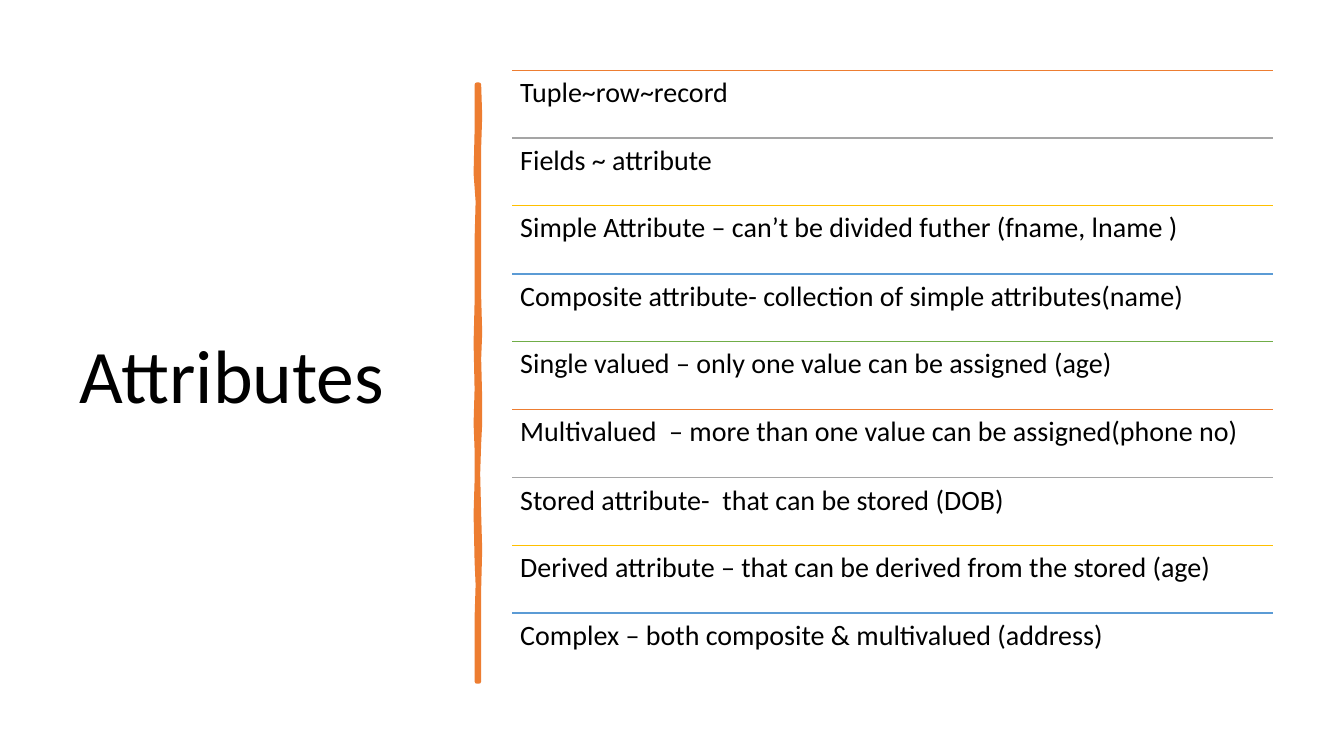
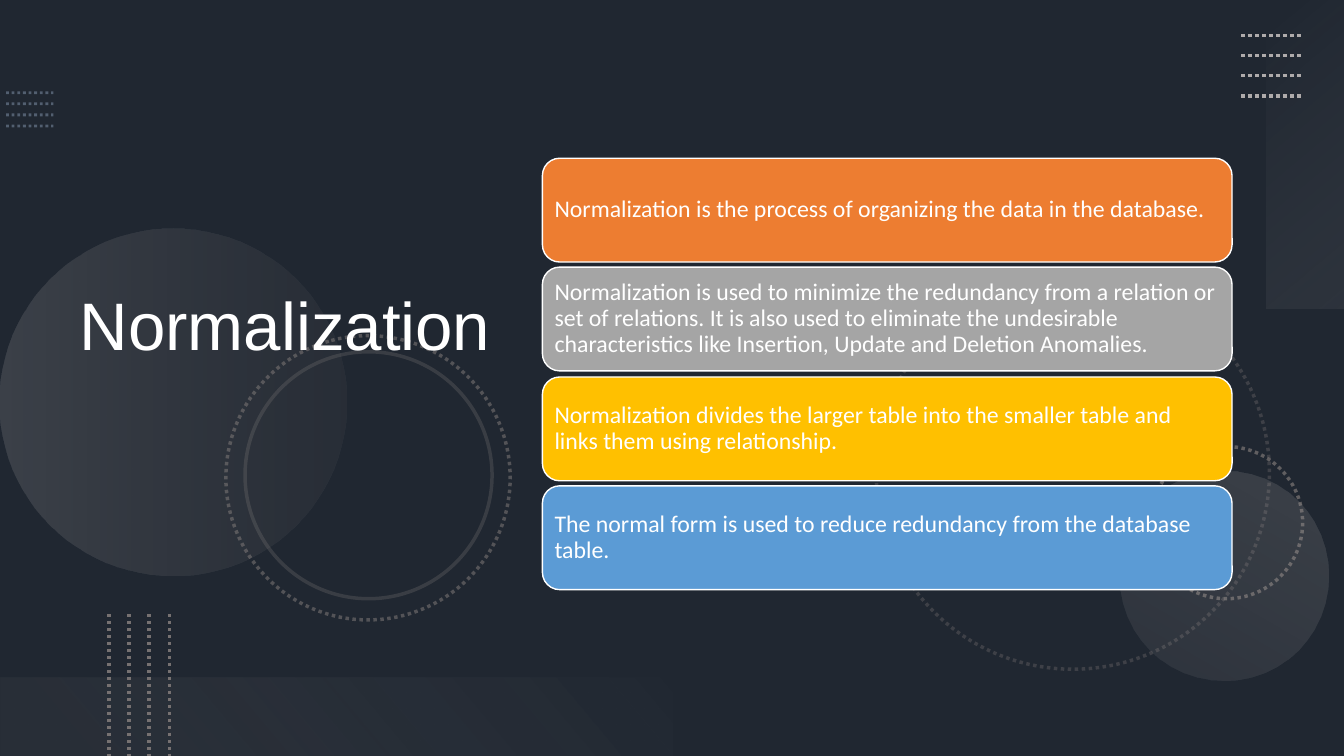
from dataclasses import dataclass
from itertools import cycle

from lxml.etree import SubElement
from pptx import Presentation
from pptx.dml.color import RGBColor
from pptx.enum.dml import MSO_LINE_DASH_STYLE as Dash
from pptx.enum.shapes import MSO_CONNECTOR as Connector
from pptx.enum.shapes import MSO_SHAPE as Preset
from pptx.enum.text import MSO_ANCHOR as Anchor
from pptx.enum.text import MSO_AUTO_SIZE as AutoSize
from pptx.enum.text import PP_ALIGN as Align
from pptx.oxml.ns import qn
from pptx.util import Emu, Pt

PX = 9144
PAGE_WIDTH, PAGE_HEIGHT = 1333, 750
TITLE_ONLY = 5

BLACK = RGBColor(0x00, 0x00, 0x00)
WHITE = RGBColor(0xFF, 0xFF, 0xFF)
SLATE = RGBColor(0x44, 0x54, 0x6A)
STEEL = RGBColor(0x84, 0x97, 0xB0)
SILVER = RGBColor(0xAF, 0xAB, 0xAB)
ASH = RGBColor(0x76, 0x71, 0x71)
MIST = RGBColor(0xF5, 0xF5, 0xF5)
PEARL = RGBColor(0xF1, 0xF0, 0xF0)
ORANGE = RGBColor(0xED, 0x7D, 0x31)
GREY = RGBColor(0xA5, 0xA5, 0xA5)
GOLD = RGBColor(0xFF, 0xC0, 0x00)
BLUE = RGBColor(0x5B, 0x9B, 0xD5)
GREEN = RGBColor(0x70, 0xAD, 0x47)
ACCENTS = (ORANGE, GREY, GOLD, BLUE, GREEN)

ATTRIBUTES = (
    "Tuple~row~record",
    "Fields ~ attribute",
    "Simple Attribute – can’t be divided futher (fname, lname )",
    "Composite attribute- collection of simple attributes(name)",
    "Single valued – only one value can be assigned (age)",
    "Multivalued  – more than one value can be assigned(phone no)",
    "Stored attribute-  that can be stored (DOB)",
    "Derived attribute – that can be derived from the stored (age)",
    "Complex – both composite & multivalued (address)",
)
NORMALIZATION = (
    "Normalization is the process of organizing the data in the database.",
    "Normalization is used to minimize the redundancy from a relation or set of "
    "relations. It is also used to eliminate the undesirable characteristics like "
    "Insertion, Update and Deletion Anomalies.",
    "Normalization divides the larger table into the smaller table and links them "
    "using relationship.",
    "The normal form is used to reduce redundancy from the database table.",
)
BRUSH_EDGE = (
    (475, 84), (476, 115), (475, 146), (475, 226), (475, 294), (476, 330),
    (475, 356), (476, 396), (476, 420), (475, 440), (474, 470), (475, 510),
    (476, 545), (475, 584), (475, 676), (473, 676), (473, 613), (474, 580),
    (473, 557), (472, 510), (473, 477), (473, 446), (472, 420), (473, 386),
    (472, 340), (473, 300), (473, 238), (474, 200), (472, 172), (473, 130),
    (473, 84),
)


@dataclass(frozen=True)
class Area:
    left: int
    top: int
    width: int
    height: int

    def emu(self) -> tuple:
        return tuple(
            Emu(value * PX) for value in (self.left, self.top, self.width, self.height)
        )


@dataclass(frozen=True)
class Ring:
    area: Area
    opacity: int
    dash: Dash | None = Dash.ROUND_DOT


@dataclass(frozen=True)
class Stop:
    position: float
    color: RGBColor
    opacity: int


@dataclass(frozen=True)
class Glow:
    preset: Preset
    area: Area
    rotation: int
    angle: int
    stops: tuple[Stop, Stop]


@dataclass(frozen=True)
class Stripes:
    left: int
    top: int
    length: int
    pitch: int
    color: RGBColor
    weight: float = 2.5
    opacity: int = 100
    upright: bool = False


RINGS = (
    Ring(Area(869, 274, 390, 390), 35),
    Ring(Area(1141, 443, 151, 151), 75),
    Ring(Area(224, 333, 282, 282), 60),
    Ring(Area(243, 349, 245, 245), 30, None),
)
GLOWS = (
    Glow(Preset.OVAL, Area(0, 227, 344, 344), 270, 90,
         (Stop(0, SILVER, 20), Stop(1, ASH, 10))),
    Glow(Preset.OVAL, Area(1110, 467, 208, 208), 210, 90,
         (Stop(0, SILVER, 10), Stop(1, SILVER, 20))),
    Glow(Preset.RECTANGLE, Area(1142, 114, 306, 78), 270, 140,
         (Stop(0, MIST, 0), Stop(1, SILVER, 10))),
    Glow(Preset.RECTANGLE, Area(0, 672, 667, 78), 180, 140,
         (Stop(0.1, ASH, 10), Stop(1, PEARL, 0))),
)
STRIPES = (
    Stripes(6, 92, 47, 11, STEEL, 2, 50),
    Stripes(1231, 35, 60, 20, SILVER),
    Stripes(108, 609, 141, 20, ASH, upright=True),
)


def apply(target, **values) -> None:
    for name, value in values.items():
        setattr(target, name, value)


def set_opacity(shape, *percents: int) -> None:
    colors = shape.element.spPr.iter(qn("a:srgbClr"))
    for color, percent in zip(list(colors), percents):
        SubElement(color, qn("a:alpha")).set("val", str(percent * 1000))


def set_outline(shape, color: RGBColor, weight: float, dash: Dash | None = None) -> None:
    shape.line.fill.solid()
    shape.line.color.rgb = color
    shape.line.width = Pt(weight)
    if dash is not None:
        shape.line.dash_style = dash


def set_fill(target, color: RGBColor) -> None:
    target.fill.solid()
    target.fill.fore_color.rgb = color


def add_preset(page, preset: Preset, area: Area):
    shape = page.shapes.add_shape(preset, *area.emu())
    shape.shadow.inherit = False
    shape.line.fill.background()
    return shape


def add_line(page, start: tuple, end: tuple, color: RGBColor, weight: float,
             dash: Dash | None = None):
    points = (Emu(value * PX) for value in (*start, *end))
    line = page.shapes.add_connector(Connector.STRAIGHT, *points)
    set_outline(line, color, weight, dash)
    SubElement(line.element.spPr, qn("a:effectLst"))
    return line


def write(shape, text: str, size: int, font: str, color: RGBColor,
          anchor: Anchor, inset: int):
    frame = shape.text_frame
    margin = Emu(inset * PX)
    apply(frame, word_wrap=True, auto_size=AutoSize.NONE, vertical_anchor=anchor,
          margin_left=margin, margin_right=margin,
          margin_top=margin, margin_bottom=margin)
    para = frame.paragraphs[0]
    apply(para, alignment=Align.LEFT, line_spacing=0.9)
    span = para.add_run()
    span.text = text
    apply(span.font, size=Pt(size), name=font)
    span.font.color.rgb = color
    return para


def add_title(page, area: Area, text: str, size: int, font: str, color: RGBColor):
    title = page.shapes.title
    apply(title, **dict(zip(("left", "top", "width", "height"), area.emu())))
    page.shapes.element.append(title.element)
    return write(title, text, size, font, color, Anchor.MIDDLE, 10)


def add_stripes(page, stripes: Stripes) -> None:
    for index in range(4):
        offset = index * stripes.pitch
        if stripes.upright:
            start = (stripes.left + offset, stripes.top)
            end = (start[0], stripes.top + stripes.length)
        else:
            start = (stripes.left, stripes.top + offset)
            end = (stripes.left + stripes.length, start[1])
        line = add_line(page, start, end, stripes.color, stripes.weight, Dash.ROUND_DOT)
        set_opacity(line, stripes.opacity)


def add_ring(page, ring: Ring) -> None:
    shape = add_preset(page, Preset.OVAL, ring.area)
    shape.rotation = 75
    shape.fill.background()
    set_outline(shape, ASH, 2.5, ring.dash)
    set_opacity(shape, ring.opacity)


def add_glow(page, glow: Glow) -> None:
    shape = add_preset(page, glow.preset, glow.area)
    shape.rotation = glow.rotation
    shape.fill.gradient()
    shape.fill.gradient_angle = 360 - glow.angle
    for target, stop in zip(shape.fill.gradient_stops, glow.stops):
        target.position = stop.position
        target.color.rgb = stop.color
    set_opacity(shape, *(stop.opacity for stop in glow.stops))


def add_brush(page) -> None:
    builder = page.shapes.build_freeform(*BRUSH_EDGE[0], scale=PX)
    builder.add_line_segments(BRUSH_EDGE[1:], close=True)
    brush = builder.convert_to_shape()
    brush.shadow.inherit = False
    set_fill(brush, ORANGE)
    set_outline(brush, ORANGE, 3.25)


def build_attributes(deck) -> None:
    page = deck.slides.add_slide(deck.slide_layouts[TITLE_ONLY])
    set_fill(page.background, WHITE)
    add_title(page, Area(69, 70, 374, 611), "Attributes", 54, "Calibri", BLACK)
    add_brush(page)
    left, width, height = 508, 755, 67
    for index, (text, accent) in enumerate(zip(ATTRIBUTES, cycle(ACCENTS))):
        top = 70 + round(index * 67.25)
        add_line(page, (left, top), (left + width, top), accent, 1)
        box = page.shapes.add_textbox(*Area(left, top, width, height).emu())
        write(box, text, 20, "Calibri", BLACK, Anchor.TOP, 8)


def build_normalization(deck) -> None:
    page = deck.slides.add_slide(deck.slide_layouts[TITLE_ONLY])
    set_fill(page.background, SLATE)
    shade = add_preset(page, Preset.RECTANGLE, Area(0, 0, PAGE_WIDTH, PAGE_HEIGHT))
    set_fill(shade, BLACK)
    set_opacity(shade, 53)
    for ring in RINGS:
        add_ring(page, ring)
    for glow in GLOWS:
        add_glow(page, glow)
    for stripes in STRIPES:
        add_stripes(page, stripes)
    title = add_title(page, Area(69, 54, 459, 617), "Normalization", 48, "Arial", WHITE)
    title.add_line_break()
    for index, (text, accent) in enumerate(zip(NORMALIZATION, ACCENTS)):
        top = 157 + round(index * 108.33)
        card = add_preset(page, Preset.ROUNDED_RECTANGLE, Area(538, top, 684, 103))
        set_fill(card, accent)
        set_outline(card, WHITE, 1)
        write(card, text, 17, "Calibri", WHITE, Anchor.MIDDLE, 7)


def main() -> None:
    deck = Presentation()
    apply(deck, slide_width=Emu(PAGE_WIDTH * PX), slide_height=Emu(PAGE_HEIGHT * PX))
    build_attributes(deck)
    build_normalization(deck)
    deck.save("out.pptx")


if __name__ == "__main__":
    main()
